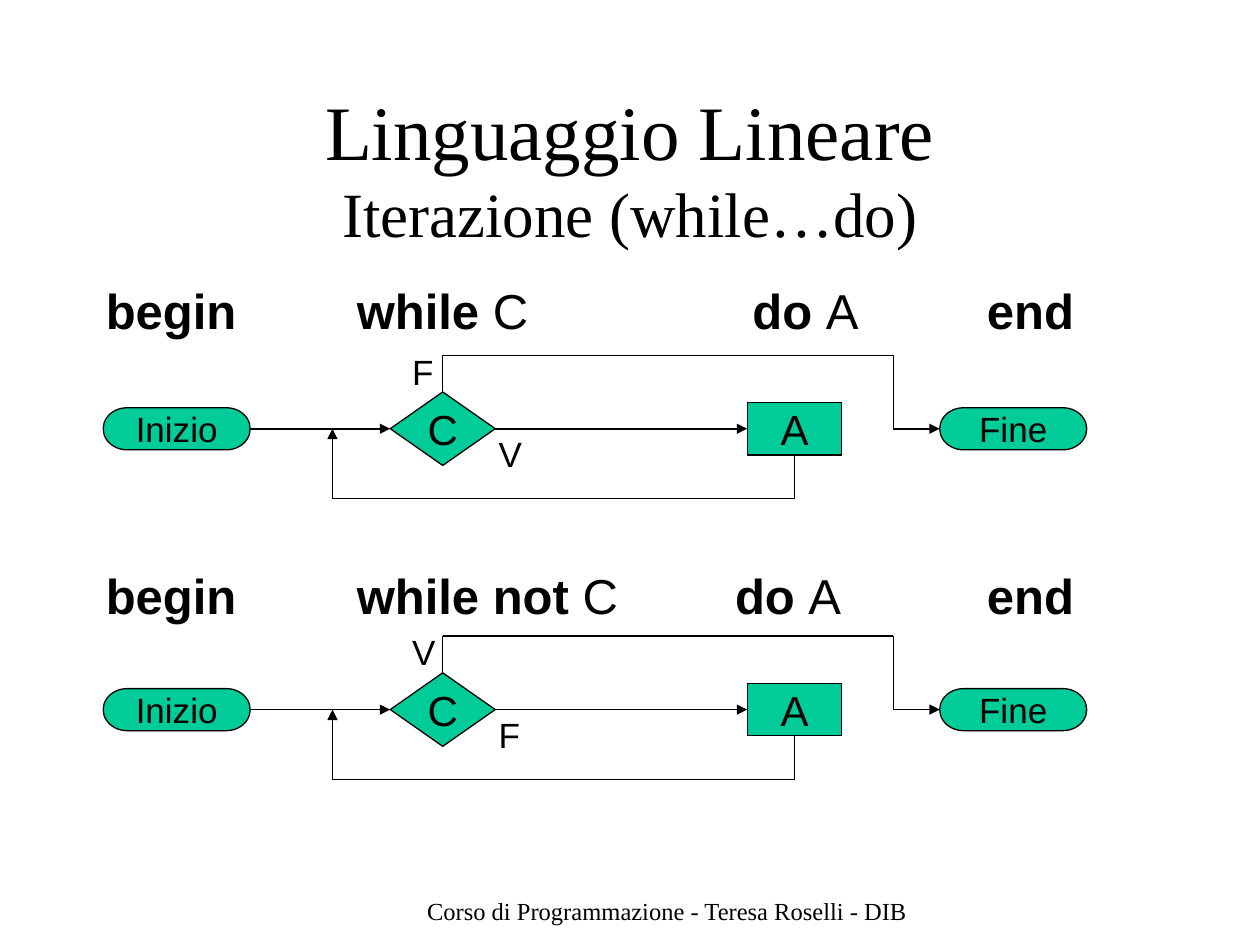
from itertools import pairwise

from lxml.etree import SubElement
from pptx import Presentation
from pptx.dml.color import RGBColor
from pptx.enum.shapes import MSO_CONNECTOR, MSO_SHAPE
from pptx.enum.text import MSO_ANCHOR, MSO_AUTO_SIZE, PP_ALIGN
from pptx.oxml.ns import qn
from pptx.util import Pt

BLACK = RGBColor(0x00, 0x00, 0x00)
GREEN = RGBColor(0x00, 0xCC, 0x99)


def write(shape, text, size=28, font="Arial", strong="", align=PP_ALIGN.LEFT,
          anchor=MSO_ANCHOR.TOP, wrap=False):
    frame = shape.text_frame
    frame.auto_size = MSO_AUTO_SIZE.NONE
    frame.word_wrap = wrap
    frame.vertical_anchor = anchor
    frame.margin_left = frame.margin_right = frame.margin_top = frame.margin_bottom = 0
    paragraph = frame.paragraphs[0]
    paragraph.alignment = align
    for words, bold in ((strong, True), (text, False)):
        if words:
            run = paragraph.add_run()
            run.text = words
            run.font.name = font
            run.font.size = Pt(size)
            run.font.bold = bold
            run.font.color.rgb = BLACK


def connect(points):
    for start, end in pairwise(points):
        line = slide.shapes.add_connector(
            MSO_CONNECTOR.STRAIGHT, *(Pt(value) for value in (*start, *end)))
        line.line.color.rgb = BLACK
        line.line.width = Pt(0.75)
        SubElement(line._element.spPr, qn("a:effectLst"))
    line.line.width = Pt(1)
    SubElement(line.line._get_or_add_ln(), qn("a:tailEnd"), type="triangle")


deck = Presentation()
deck.slide_width, deck.slide_height = Pt(720), Pt(540)
slide = deck.slides.add_slide(deck.slide_layouts[5])

title = slide.shapes.title
title.left, title.top, title.width, title.height = Pt(180), Pt(47.5), Pt(360), Pt(51)
write(title, "Linguaggio Lineare", size=44, font="Times New Roman",
      align=PP_ALIGN.CENTER, wrap=True)

subtitle = slide.shapes.add_textbox(Pt(180), Pt(100), Pt(360), Pt(42))
write(subtitle, "Iterazione (while…do)", size=36, font="Times New Roman",
      align=PP_ALIGN.CENTER, wrap=True)

loops = [
    (245, 160.5, "while ", 430, "F", "V"),
    (405.5, 323, "while not ", 420, "V", "F"),
]
for middle, code_top, condition, do_left, exit_label, body_label in loops:
    code = [
        (60.5, 80, "begin", ""),
        (204, 155, condition, "C"),
        (do_left, 65, "do ", "A"),
        (564, 55, "end", ""),
    ]
    for left, width, keyword, operand in code:
        statement = slide.shapes.add_textbox(Pt(left), Pt(code_top), Pt(width), Pt(33))
        write(statement, operand, strong=keyword)

    nodes = [
        (MSO_SHAPE.FLOWCHART_TERMINATOR, 59, 84, 24, "Inizio", 20),
        (MSO_SHAPE.DIAMOND, 223, 60, 42, "C", 24),
        (MSO_SHAPE.RECTANGLE, 427, 54, 30, "A", 24),
        (MSO_SHAPE.FLOWCHART_TERMINATOR, 537, 84, 24, "Fine", 20),
    ]
    for kind, left, width, height, name, size in nodes:
        node = slide.shapes.add_shape(
            kind, Pt(left), Pt(middle - height / 2), Pt(width), Pt(height))
        node.shadow.inherit = False
        node.fill.solid()
        node.fill.fore_color.rgb = GREEN
        node.line.color.rgb = BLACK
        node.line.width = Pt(0.75)
        write(node, name, size=size, align=PP_ALIGN.CENTER, anchor=MSO_ANCHOR.MIDDLE)

    connect([(143, middle), (223, middle)])
    connect([(283, middle), (427, middle)])
    connect([(253, middle - 21), (253, middle - 42), (510.5, middle - 42),
             (510.5, middle), (537, middle)])
    connect([(454, middle + 15), (454, middle + 40), (190, middle + 40), (190, middle)])

    for left, top, outcome in ((235.5, middle - 45, exit_label),
                               (285, middle + 2, body_label)):
        branch = slide.shapes.add_textbox(Pt(left), Pt(top), Pt(15), Pt(24))
        write(branch, outcome, size=20)

footer = slide.shapes.add_textbox(Pt(244), Pt(512), Pt(276), Pt(17))
write(footer, "Corso di Programmazione - Teresa Roselli - DIB", size=14,
      font="Times New Roman")

deck.save("out.pptx")
